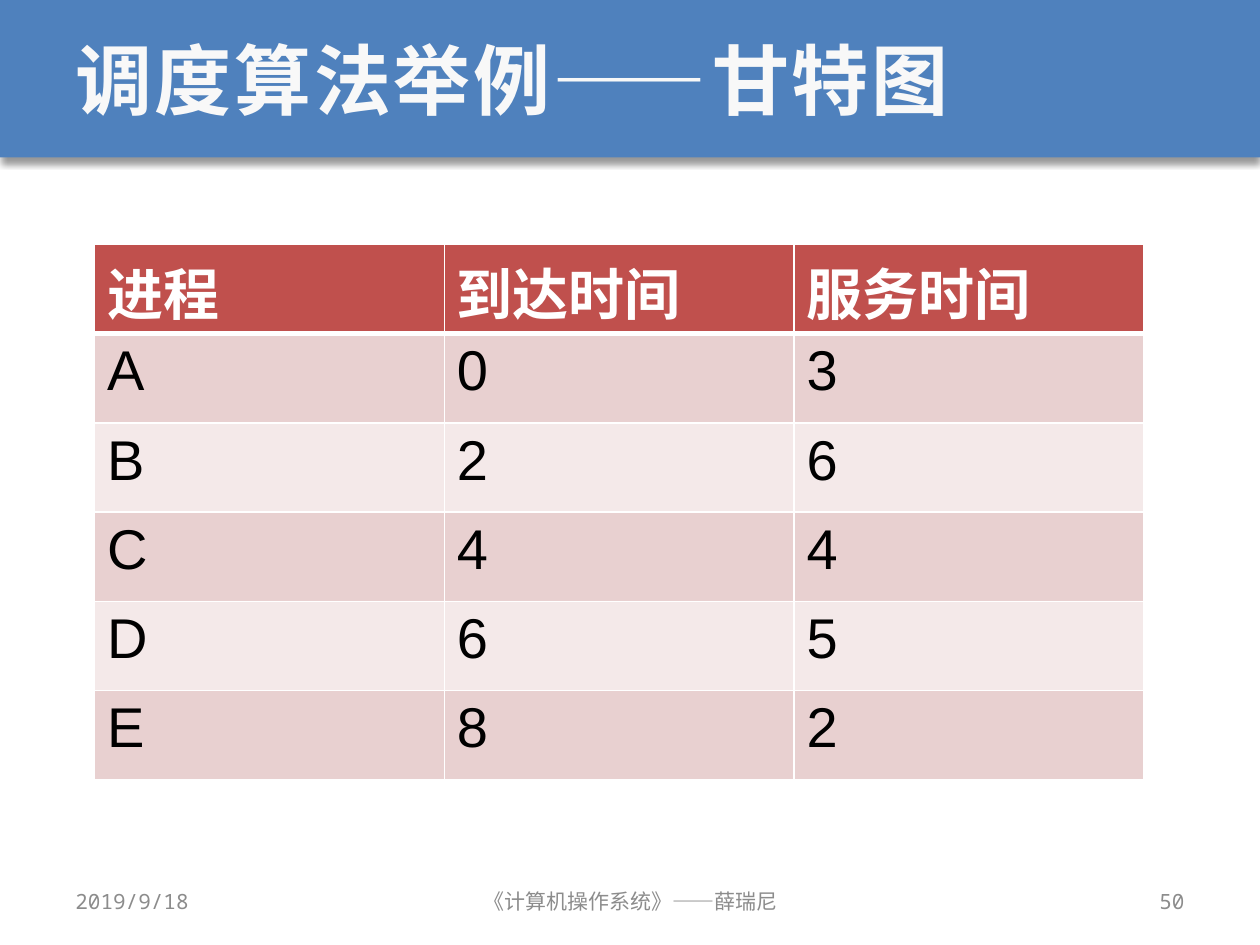
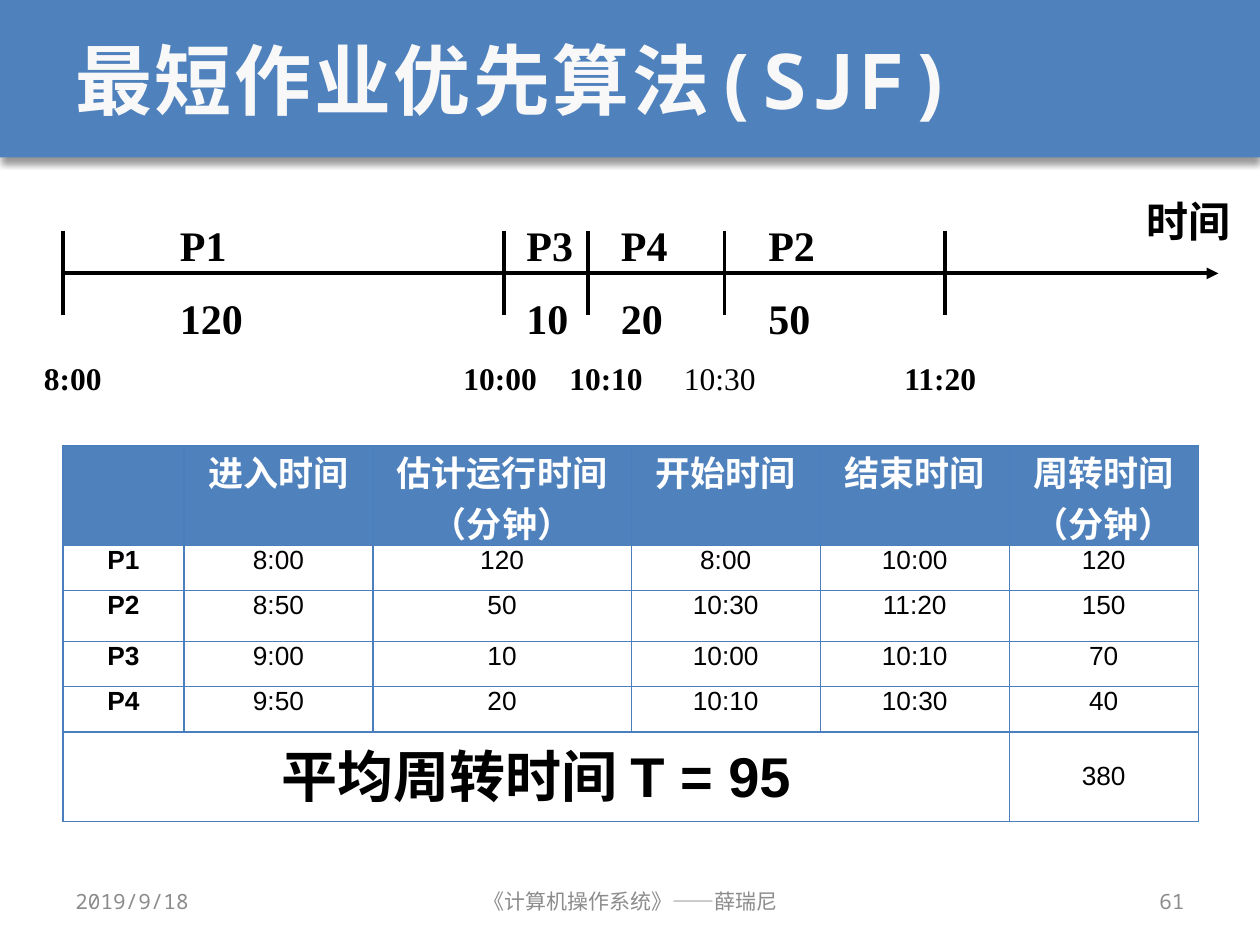
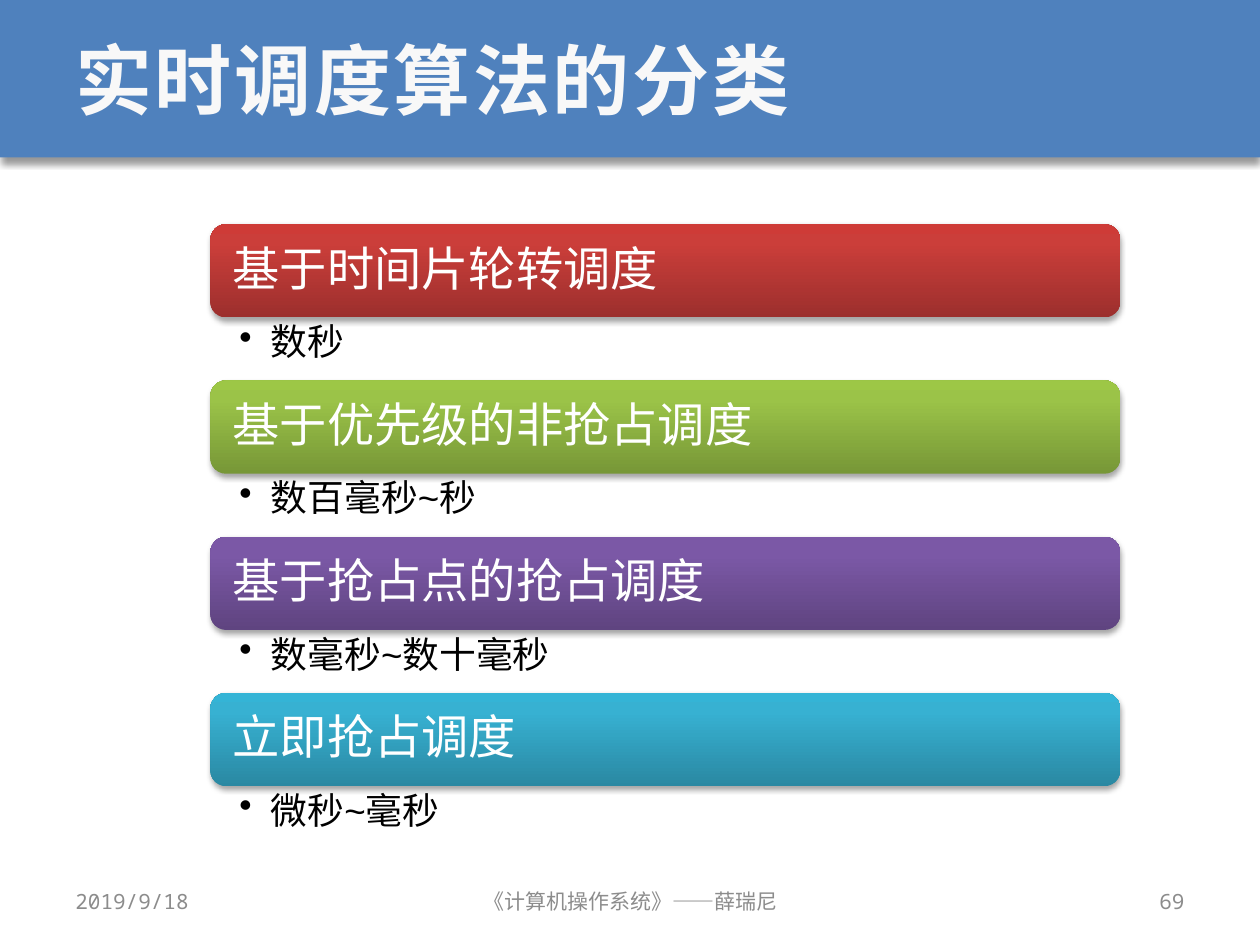
from lxml import etree
from pptx import Presentation
from pptx.dml.color import RGBColor
from pptx.enum.lang import MSO_LANGUAGE_ID
from pptx.enum.shapes import MSO_CONNECTOR, MSO_SHAPE
from pptx.enum.text import MSO_ANCHOR, PP_ALIGN
from pptx.oxml.ns import qn
from pptx.util import Inches, Pt

RECT, ROUND = MSO_SHAPE.RECTANGLE, MSO_SHAPE.ROUNDED_RECTANGLE
STRAIGHT = MSO_CONNECTOR.STRAIGHT
LEFT, CENTER, RIGHT = PP_ALIGN.LEFT, PP_ALIGN.CENTER, PP_ALIGN.RIGHT
TOP, MIDDLE = MSO_ANCHOR.TOP, MSO_ANCHOR.MIDDLE
CHINESE = MSO_LANGUAGE_ID.SIMPLIFIED_CHINESE

# Shared colours and text formats
BLUE, RED, WHITE, BLACK = "4F81BD", "C0504D", "FFFFFF", "000000"
GRID = "4B7EBC"
BANDS = ("E8D0D0", "F4E9E9")
SANS, MONO, SERIF = "Arial", "Noto Sans Mono", "Times New Roman"
TITLE = {"name": MONO, "size": Pt(44), "bold": True, "color": "F8F8F8"}
FOOTER = {"name": MONO, "size": Pt(12), "color": "8C8C8C"}
AXIS = {"name": SERIF, "size": Pt(24), "bold": True, "color": BLACK}
CLOCK = {**AXIS, "size": Pt(18)}
DATE, COURSE = "2019/9/18", "《计算机操作系统》——薛瑞尼"

# Slide content
PROCESSES = [
    ("进程", "到达时间", "服务时间"),
    ("A", "0", "3"),
    ("B", "2", "6"),
    ("C", "4", "4"),
    ("D", "6", "5"),
    ("E", "8", "2"),
]
TICKS = (0.5, 4, 4.67, 5.75, 7.5)
JOBS = [("P1", "120", 1.33), ("P2", "50", 6), ("P3", "10", 4.08), ("P4", "20", 4.83)]
CLOCKS = [("8:00", 0.25, True), ("10:00", 3.58, True), ("10:10", 4.42, True),
          ("10:30", 5.33, False), ("11:20", 7.08, True)]
TURNAROUND = [
    ("", "进入时间", "估计运行时间\n（分钟）", "开始时间", "结束时间", "周转时间\n（分钟）"),
    ("P1", "8:00", "120", "8:00", "10:00", "120"),
    ("P2", "8:50", "50", "10:30", "11:20", "150"),
    ("P3", "9:00", "10", "10:00", "10:10", "70"),
    ("P4", "9:50", "20", "10:10", "10:30", "40"),
    ("平均周转时间 T = 95", "", "", "", "", "380"),
]
CATEGORIES = [
    ("基于时间片轮转调度", "数秒", ("9C2F2D", "CB3E3A", "CE3B37")),
    ("基于优先级的非抢占调度", "数百毫秒~秒", ("779737", "9BC348", "9DC746")),
    ("基于抢占点的抢占调度", "数毫秒~数十毫秒", ("5F4480", "7B58A6", "7C57A8")),
    ("立即抢占调度", "微秒~毫秒", ("2A88A2", "37B1D2", "34B4D6")),
]


def rgb(color):
    return RGBColor.from_string(color)


def sub(parent, tag, **attrs):
    return etree.SubElement(parent, qn(tag), {k: str(v) for k, v in attrs.items()})


def write(tf, text, fmt, align=LEFT, before=0, line=None):
    """Fill a text frame with one paragraph per line of text."""
    for i, words in enumerate(text.split("\n")):
        p = tf.paragraphs[0] if i == 0 else tf.add_paragraph()
        p.alignment = align
        if i and before:
            p.space_before = Pt(before)
        if line:
            p.line_spacing = line
        if not words:
            continue
        r = p.add_run()
        r.text = words
        r.font.language_id = CHINESE
        for key, value in fmt.items():
            if key == "color":
                r.font.color.rgb = rgb(value)
            else:
                setattr(r.font, key, value)


def set_margins(holder, left, top, right, bottom):
    sides = {"left": left, "top": top, "right": right, "bottom": bottom}
    for side, size in sides.items():
        setattr(holder, f"margin_{side}", Inches(size))


def add_text(s, at, text, fmt, anchor=TOP, **layout):
    tf = s.shapes.add_textbox(*map(Inches, at)).text_frame
    tf.word_wrap = True
    tf.vertical_anchor = anchor
    write(tf, text, fmt, **layout)
    return tf


def add_panel(s, kind, at, shadow):
    """Add an outlined-free shape whose shadow falls straight down."""
    alpha, blur, dist = shadow
    sp = s.shapes.add_shape(kind, *map(Inches, at))
    sp.line.fill.background()
    sp.shadow.inherit = False
    effects = sp._element.spPr.find(qn("a:effectLst"))
    outer = sub(effects, "a:outerShdw", blurRad=Pt(blur), dist=Pt(dist),
                dir=90 * 60000, rotWithShape=0)
    sub(sub(outer, "a:srgbClr", val=BLACK), "a:alpha", val=alpha * 1000)
    return sp


def fill_gradient(sp, colors):
    sp.fill.gradient()
    sp.fill.gradient_angle = 90
    stops = sp._element.spPr.find(".//" + qn("a:gsLst"))
    for stop in list(stops):
        stops.remove(stop)
    for pos, color in zip((0, 80, 100), colors):
        sub(sub(stops, "a:gs", pos=pos * 1000), "a:srgbClr", val=color)


def add_line(s, x1, y1, x2, y2, arrow=False):
    cn = s.shapes.add_connector(STRAIGHT, *map(Inches, (x1, y1, x2, y2)))
    cn.line.color.rgb = rgb(BLACK)
    cn.line.width = Pt(2.25)
    if arrow:
        sub(cn.line._get_or_add_ln(), "a:tailEnd", type="triangle")
    sub(cn._element.spPr, "a:effectLst")


def add_grid(s, at, widths, heights):
    frame = s.shapes.add_table(len(heights), len(widths), *map(Inches, at))
    table = frame.table
    for col, width in zip(table.columns, widths):
        col.width = Inches(width)
    for row, height in zip(table.rows, heights):
        row.height = Inches(height)
    return table


def style_cell(cell, fill, border, width, top=None, bottom=None):
    tcPr = cell._tc.get_or_add_tcPr()
    sides = {"a:lnL": width, "a:lnR": width,
             "a:lnT": top or width, "a:lnB": bottom or width}
    for tag, size in sides.items():
        ln = sub(tcPr, tag, w=Pt(size))
        sub(sub(ln, "a:solidFill"), "a:srgbClr", val=border)
    if fill:
        cell.fill.solid()
        cell.fill.fore_color.rgb = rgb(fill)
    else:
        cell.fill.background()


def new_slide(prs, title, number):
    """Add a slide with the title band and the three footers."""
    s = prs.slides.add_slide(prs.slide_layouts[6])
    band = add_panel(s, RECT, (0, 0, 10, 1.25), (40, 4, 3))
    band.fill.solid()
    band.fill.fore_color.rgb = rgb(BLUE)
    tf = add_text(s, (0.5, 0, 9, 1.25), title, TITLE, MIDDLE)
    tf.paragraphs[0].runs[0].font._element.set("spc", "150")
    for x, width, text, align in ((0.5, 2.33, DATE, LEFT),
                                  (3.42, 3.17, COURSE, CENTER),
                                  (7.17, 2.33, str(number), RIGHT)):
        add_text(s, (x, 6.95, width, 0.4), text, FOOTER, MIDDLE, align=align)
    return s


def add_process_table(s):
    count = len(PROCESSES)
    table = add_grid(s, (0.75, 1.94, 8.33, 4.25), [8.33 / 3] * 3, [4.25 / count] * count)
    for i, row in enumerate(PROCESSES):
        head = i == 0
        fmt = {"name": SANS, "size": Pt(32), "bold": head,
               "color": WHITE if head else BLACK}
        for j, text in enumerate(row):
            cell = table.cell(i, j)
            style_cell(cell, RED if head else BANDS[(i - 1) % 2], WHITE, 1,
                       top=3 if i == 1 else None, bottom=3 if head else None)
            write(cell.text_frame, text, fmt)


def add_timeline(s):
    add_line(s, 0.5, 2.17, 9.67, 2.17, arrow=True)
    for x in TICKS:
        add_line(s, x, 1.83, x, 2.5)
    add_text(s, (9, 1.5, 1, 0.5), "时间", AXIS)
    for name, minutes, x in JOBS:
        add_text(s, (x, 1.69, 0.8, 1.1), f"{name}\n{minutes}", AXIS, before=13)
    for text, x, bold in CLOCKS:
        add_text(s, (x, 2.8, 0.9, 0.4), text, {**CLOCK, "bold": bold})


def add_turnaround_table(s):
    table = add_grid(s, (0.5, 3.54, 9, 2.97), (0.96, 1.5, 2.05, 1.5, 1.5, 1.5),
                     (0.79, 0.36, 0.4, 0.36, 0.36, 0.71))
    last = len(TURNAROUND) - 1
    table.cell(last, 0).merge(table.cell(last, 4))
    for i, row in enumerate(TURNAROUND):
        for j, text in enumerate(row):
            cell = table.cell(i, j)
            head, total = i == 0, i == last and j == 0
            size = 20 if head else 32 if total else 15
            fmt = {"name": SANS, "size": Pt(size), "bold": head or j == 0,
                   "color": WHITE if head else BLACK}
            style_cell(cell, BLUE if head else None, GRID, 0.75)
            set_margins(cell, 0.07, 0, 0.07, 0)
            write(cell.text_frame, text, fmt, CENTER)
    table.cell(last, 5).vertical_anchor = MIDDLE


def add_category(s, y, name, latency, colors):
    """Add a gradient heading with its bulleted response time below."""
    sp = add_panel(s, ROUND, (1.67, y, 7.22, 0.74), (35, 3.1, 1.8))
    fill_gradient(sp, colors)
    tf = sp.text_frame
    tf.word_wrap = True
    tf.vertical_anchor = MIDDLE
    set_margins(tf, 0.14, 0.14, 0.14, 0.14)
    write(tf, name, {"name": SANS, "size": Pt(27), "color": WHITE}, line=0.9)

    tf = add_text(s, (1.67, y + 0.75, 7.22, 0.49), latency,
                  {"name": SANS, "size": Pt(21), "color": BLACK}, line=0.9)
    set_margins(tf, 0.23, 0.04, 0.21, 0.04)
    pPr = tf.paragraphs[0]._p.get_or_add_pPr()
    pPr.set("marL", str(Inches(0.25)))
    pPr.set("indent", str(Inches(-0.25)))
    sub(pPr, "a:buChar", char="•")


def main():
    prs = Presentation()
    prs.slide_width, prs.slide_height = Inches(10), Inches(7.5)

    # Process table
    add_process_table(new_slide(prs, "调度算法举例——甘特图", 50))

    # Shortest job first
    s = new_slide(prs, "最短作业优先算法(SJF)", 61)
    add_timeline(s)
    add_turnaround_table(s)

    # Real-time scheduling categories
    s = new_slide(prs, "实时调度算法的分类", 69)
    for i, category in enumerate(CATEGORIES):
        add_category(s, 1.78 + 1.24 * i, *category)

    prs.save("out.pptx")


if __name__ == "__main__":
    main()
